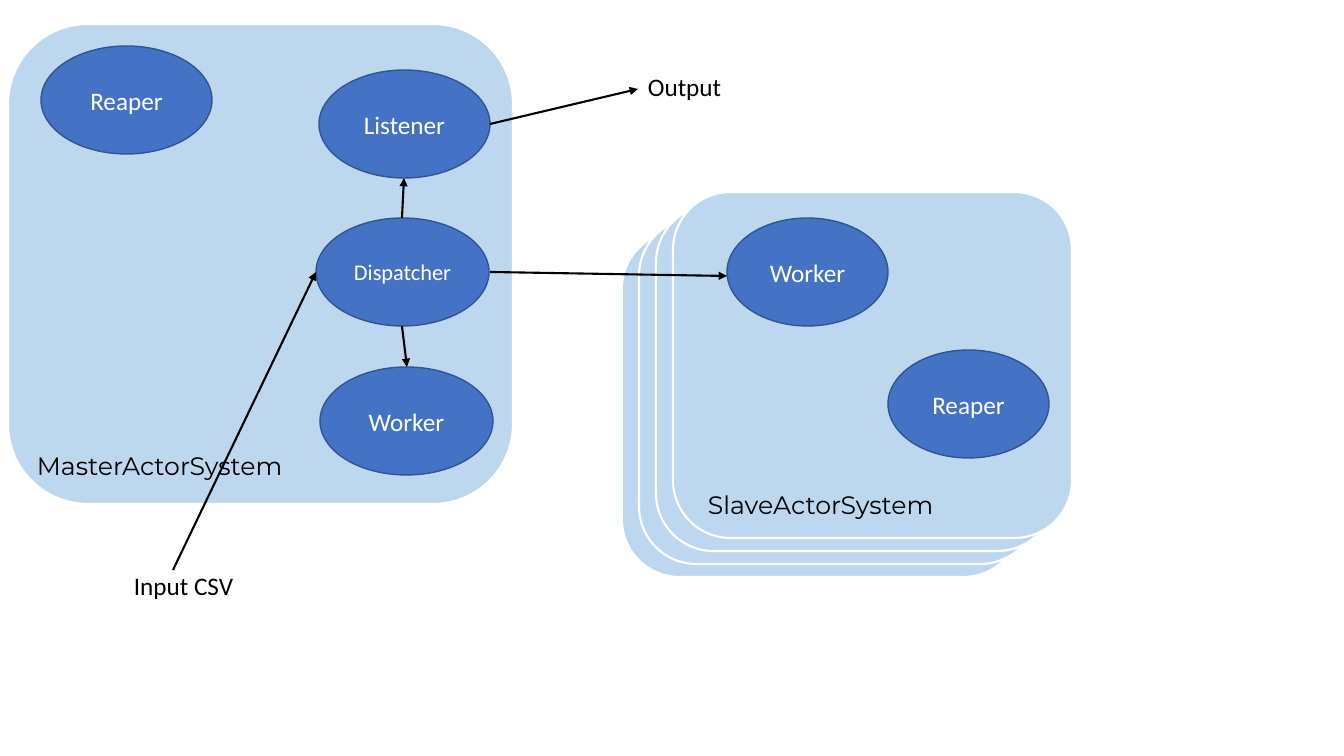
from pptx import Presentation, util as u
from pptx.dml.color import RGBColor
from pptx.enum import shapes, text
from pptx.oxml.ns import qn
from lxml import etree

SCALE = 914400 / 100.8  # EMU in one pixel
COLORS = {
    "system": "BDD7EE",
    "actor": "4472C4",
    "actor_edge": "325491",
    "white": "FFFFFF",
    "black": "000000",
}


def px(*lengths):
    return [u.Emu(round(length * SCALE)) for length in lengths]


def color(name):
    return RGBColor.from_string(COLORS[name])


def write(frame, words, size, font, ink):
    frame.text = words
    span = frame.paragraphs[0].runs[0]
    span.font.size = u.Pt(size)
    span.font.name = font
    span.font.color.rgb = color(ink)


def add_box(page, kind, bounds, fill, edge, width):
    box = page.shapes.add_shape(kind, *px(*bounds))
    box.shadow.inherit = False
    box.fill.solid()
    box.fill.fore_color.rgb = color(fill)
    box.line.color.rgb = color(edge)
    box.line.width = u.Pt(width)
    return box


def add_system(page, *bounds):
    add_box(page, shapes.MSO_SHAPE.ROUNDED_RECTANGLE, bounds,
            "system", "white", 1.5)


def add_actor(page, name, left, top, width, size=18):
    box = add_box(page, shapes.MSO_SHAPE.OVAL, (left, top, width, 108),
                  "actor", "actor_edge", 1)
    write(box.text_frame, name, size, "Calibri", "white")
    box.text_frame.vertical_anchor = text.MSO_ANCHOR.MIDDLE
    box.text_frame.paragraphs[0].alignment = text.PP_ALIGN.CENTER


def add_label(page, words, left, top, width, font="Calibri"):
    box = page.shapes.add_textbox(*px(left, top, width, 40))
    box.text_frame.word_wrap = True
    write(box.text_frame, words, 18, font, "black")
    box.text_frame.auto_size = text.MSO_AUTO_SIZE.SHAPE_TO_FIT_TEXT


def add_arrow(page, *ends):
    arrow = page.shapes.add_connector(shapes.MSO_CONNECTOR.STRAIGHT, *px(*ends))
    arrow.line.color.rgb = color("black")
    arrow.line.width = u.Pt(1.5)
    etree.SubElement(arrow.line._get_or_add_ln(), qn("a:tailEnd"), type="triangle")
    etree.SubElement(arrow._element.spPr, qn("a:effectLst"))


def main():
    deck = Presentation()
    deck.slide_width, deck.slide_height = px(1344, 756)
    page = deck.slides.add_slide(deck.slide_layouts[6])

    # Master system and the stack of slave systems
    add_system(page, 8, 24, 505, 480)
    for layer in range(4):
        add_system(page, 622 + 17 * layer, 231 - 13 * layer, 399, 346)

    # Actors of the master
    add_actor(page, "Dispatcher", 316, 218, 173, size=16)
    add_actor(page, "Worker", 320, 367, 173)
    add_actor(page, "Listener", 319, 70, 171)
    add_actor(page, "Reaper", 41, 46, 171)

    # Actors of the front slave
    add_actor(page, "Worker", 727, 218, 161)
    add_actor(page, "Reaper", 888, 350, 161)

    # Labels
    add_label(page, "MasterActorSystem", 27, 445, 302, "Montserrat")
    add_label(page, "SlaveActorSystem", 698, 484, 279, "Montserrat")
    add_label(page, "Output", 638, 66, 196)
    add_label(page, "Input CSV", 124, 565, 196)

    # Message flow
    for ends in (
        (490, 272, 727, 276),  # dispatcher to slave worker
        (402, 326, 407, 367),  # dispatcher to master worker
        (402, 218, 404, 178),  # dispatcher to listener
        (490, 124, 638, 89),   # listener to output
        (173, 570, 316, 272),  # input to dispatcher
    ):
        add_arrow(page, *ends)

    deck.save("out.pptx")


main()
